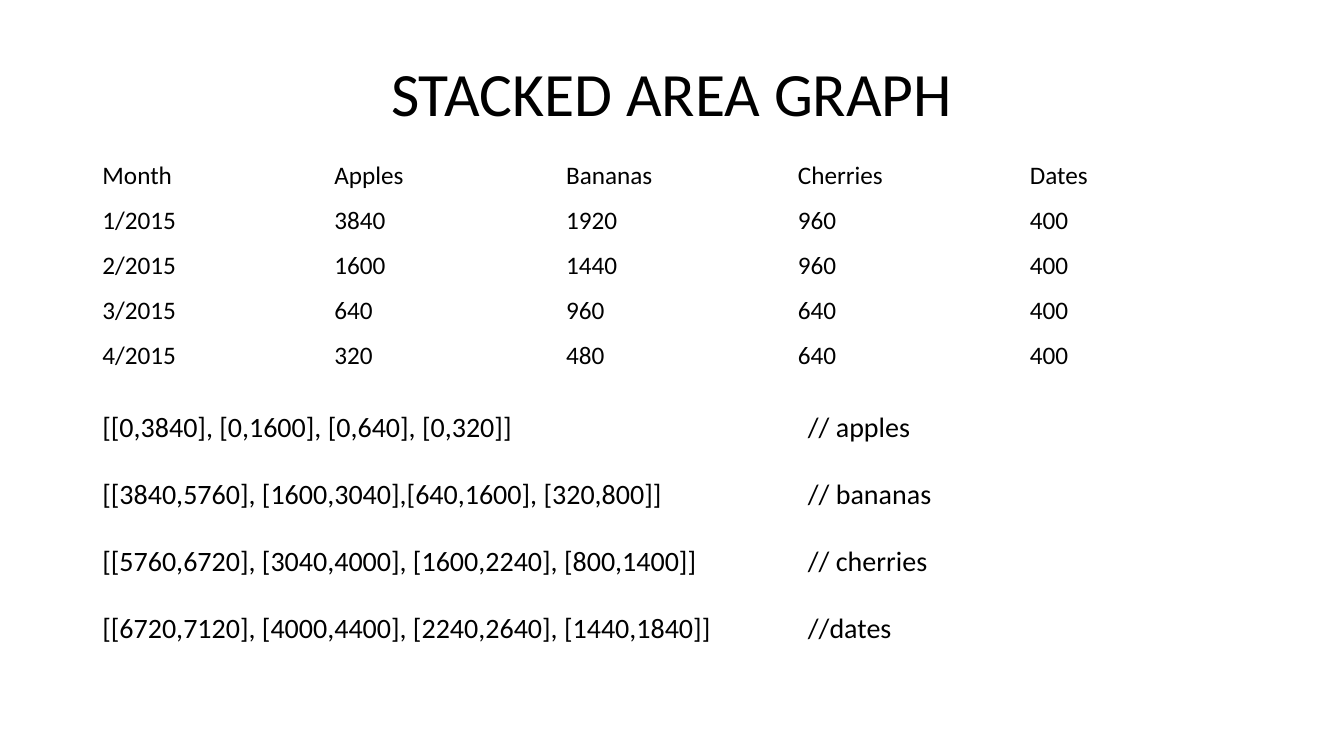
from lxml import etree
from pptx import Presentation
from pptx.dml.color import RGBColor
from pptx.enum.text import MSO_ANCHOR, PP_ALIGN
from pptx.oxml.ns import qn
from pptx.util import Pt

MIDDLE = MSO_ANCHOR.MIDDLE
CENTER = PP_ALIGN.CENTER
FONT = "Calibri"
INK = "000000"
LEFT, WIDTH = 66, 828
ROW = 32.16
TAB = 504

SALES = [
    ["Month", "Apples", "Bananas", "Cherries", "Dates"],
    ["1/2015", "3840", "1920", "960", "400"],
    ["2/2015", "1600", "1440", "960", "400"],
    ["3/2015", "640", "960", "640", "400"],
    ["4/2015", "320", "480", "640", "400"],
]
LAYERS = [
    ("[[0,3840], [0,1600], [0,640], [0,320]]", "// apples"),
    ("[[3840,5760], [1600,3040],[640,1600], [320,800]]", "// bananas"),
    ("[[5760,6720], [3040,4000], [1600,2240], [800,1400]]", "// cherries"),
    ("[[6720,7120], [4000,4400], [2240,2640], [1440,1840]]", "//dates"),
]


def paint(font, color):
    """Set a font's colour from a hex string."""
    font.color.rgb = RGBColor.from_string(color)


def add_run(para, text, size):
    """Add one styled run to a paragraph."""
    run = para.add_run()
    run.text = text
    run.font.name = FONT
    run.font.size = Pt(size)
    paint(run.font, INK)


def add_tab(para, pos):
    """Give a paragraph one left tab stop."""
    tabs = etree.SubElement(para._p.get_or_add_pPr(), qn("a:tabLst"))
    etree.SubElement(tabs, qn("a:tab"), pos=str(Pt(pos)), algn="l")


def set_title(slide, text):
    """Place and fill the title."""
    title = slide.shapes.title
    title.left, title.top = Pt(LEFT), Pt(28.75)
    title.width, title.height = Pt(WIDTH), Pt(80.64)
    frame = title.text_frame
    frame.vertical_anchor = MIDDLE
    para = frame.paragraphs[0]
    para.alignment = CENTER
    para.line_spacing = 0.9
    add_run(para, text, 44)


def add_grid(slide, rows, top):
    """Add a plain table with equal rows and columns."""
    frame = slide.shapes.add_table(
        len(rows), len(rows[0]), Pt(LEFT), Pt(top), Pt(WIDTH), Pt(ROW * len(rows)))
    table = frame.table
    table.first_row = table.horz_banding = False
    for r, row in enumerate(rows):
        table.rows[r].height = Pt(ROW)
        for c, text in enumerate(row):
            cell = table.cell(r, c)
            cell.fill.background()
            cell.vertical_anchor = MIDDLE
            add_run(cell.text_frame.paragraphs[0], text, 18)


def add_lines(slide, lines, top):
    """Add spaced lines, each with a note at the tab stop."""
    box = slide.shapes.add_textbox(Pt(LEFT), Pt(top), Pt(697), Pt(234))
    frame = box.text_frame
    frame.word_wrap = True
    for i, (code, note) in enumerate(lines):
        para = frame.add_paragraph() if i else frame.paragraphs[0]
        para.space_after = Pt(23.8)
        add_tab(para, TAB)
        add_run(para, f"{code}\t{note}", 20)


def main():
    """Build and save the slide."""
    deck = Presentation()
    deck.slide_width, deck.slide_height = Pt(960), Pt(540)
    slide = deck.slides.add_slide(deck.slide_layouts[5])
    set_title(slide, "STACKED AREA GRAPH")
    add_grid(slide, SALES, 109.4)
    add_lines(slide, LAYERS, 288.8)
    deck.save("out.pptx")


if __name__ == "__main__":
    main()
